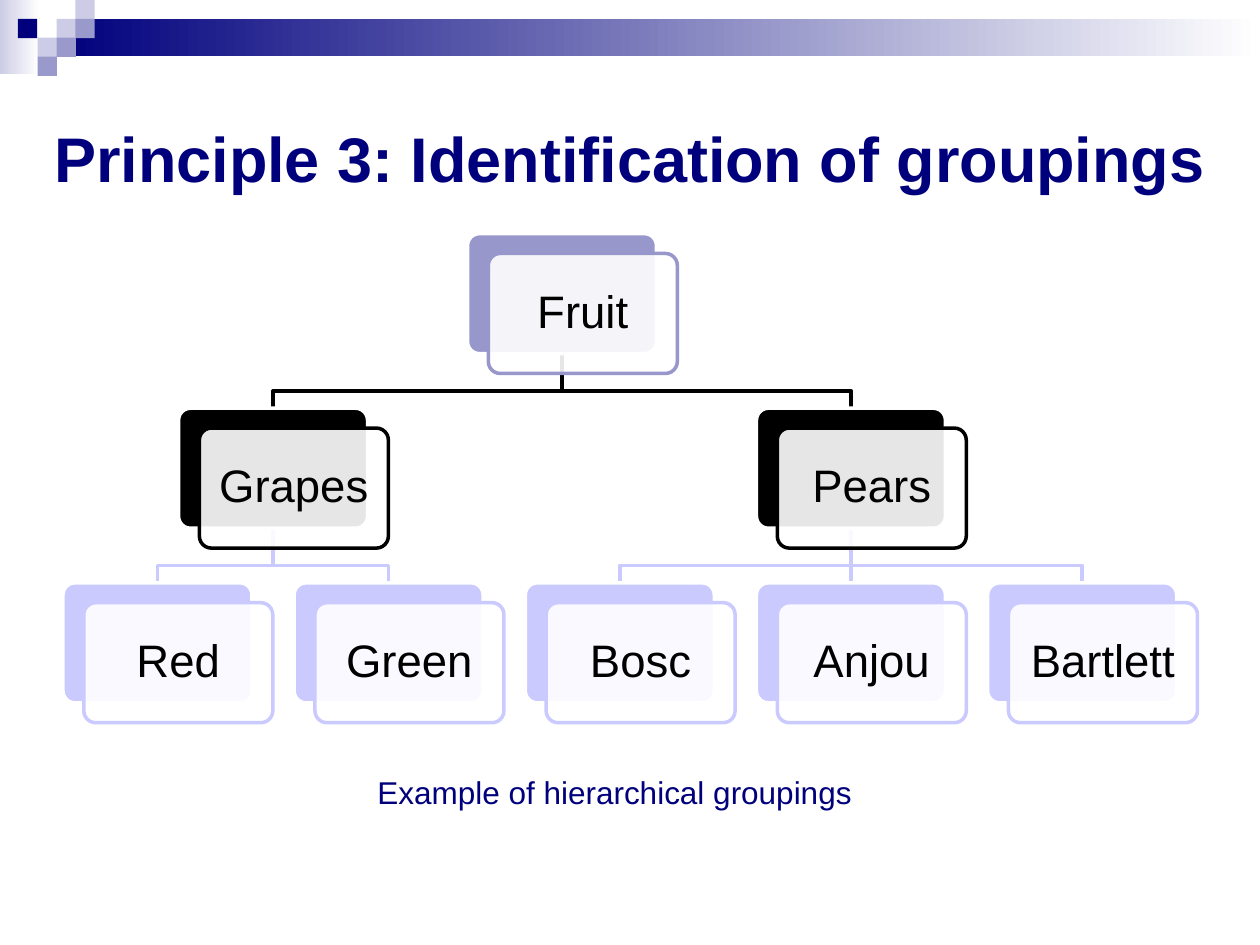
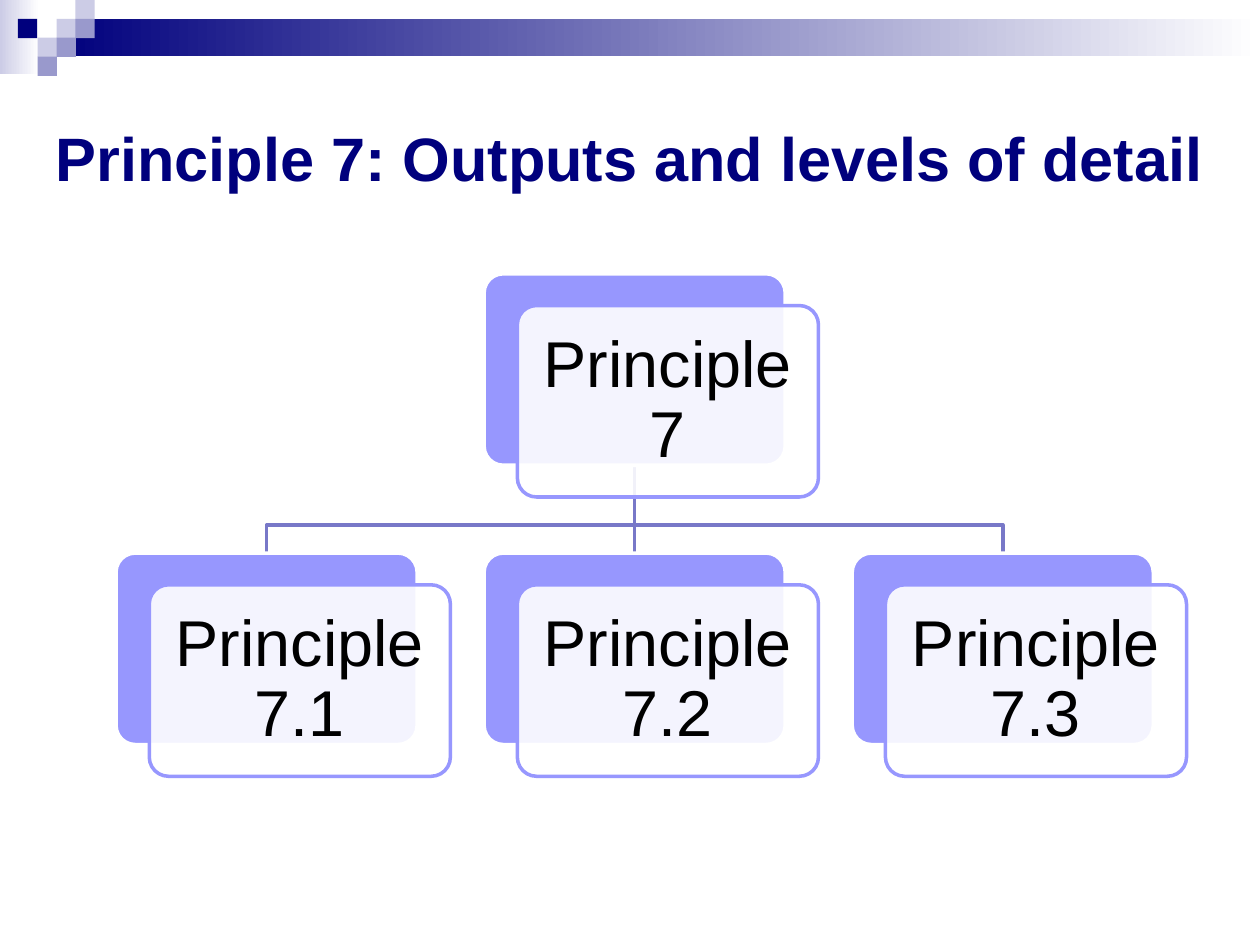
from dataclasses import dataclass
from lxml.etree import SubElement
from pptx import Presentation
from pptx.dml.color import RGBColor
from pptx.enum.shapes import MSO_CONNECTOR, MSO_SHAPE
from pptx.enum.text import MSO_ANCHOR, PP_ALIGN
from pptx.oxml.ns import qn
from pptx.util import Cm, Pt


@dataclass(frozen=True)
class Theme:
    font: str = "Arial"
    navy: str = "00007D"
    slate: str = "9999CC"
    mist: str = "CCCCE6"
    white: str = "FFFFFF"
    black: str = "000000"
    root: str = "9797CB"
    leaf: str = "CACAFF"
    violet: str = "9797FE"
    violet_link: str = "7878C8"
    caption_size: int = 18
    line_width: int = 2


theme = Theme()


def add_block(slide, preset, box, fill, outline=None):
    block = slide.shapes.add_shape(preset, *[Cm(length) for length in box])
    block.shadow.inherit = False
    if isinstance(fill, tuple):
        block.fill.gradient()
        block.fill.gradient_angle = 0
        for stop, color in zip(block.fill.gradient_stops, fill):
            stop.color.rgb = RGBColor.from_string(color)
    else:
        block.fill.solid()
        block.fill.fore_color.rgb = RGBColor.from_string(fill)
    if outline:
        block.line.color.rgb = RGBColor.from_string(outline)
        block.line.width = Pt(theme.line_width)
    else:
        block.line.fill.background()
    return block


def write(shape, text, size, color, insets, anchor=MSO_ANCHOR.MIDDLE, bold=False, spacing=1.0):
    frame = shape.text_frame
    frame.word_wrap = True
    frame.vertical_anchor = anchor
    frame.margin_left = frame.margin_right = Cm(insets[0])
    frame.margin_top = frame.margin_bottom = Cm(insets[1])
    paragraph = frame.paragraphs[0]
    paragraph.alignment = PP_ALIGN.CENTER
    paragraph.line_spacing = spacing
    run = paragraph.add_run()
    run.text = text
    run.font.name = theme.font
    run.font.size = Pt(size)
    run.font.bold = bold
    run.font.color.rgb = RGBColor.from_string(color)


tile = 0.38
banner = [
    ((0, 0, 0.79, 1.5), (theme.mist, theme.white)),
    ((1.14, tile, 24.26, 2 * tile), (theme.navy, theme.white)),
]
banner += [
    ((x, row * tile, tile + 0.01, tile + 0.01), color)
    for x, row, color in [
        (1.14, 1, theme.mist),
        (1.52, 0, theme.mist),
        (1.52, 1, theme.slate),
        (0.76, 2, theme.mist),
        (0.36, 1, theme.navy),
        (1.14, 2, theme.slate),
        (0.76, 3, theme.slate),
    ]
]

charts = [
    {
        "title": "Principle 3: Identification of groupings",
        "title_size": 36,
        "leaves": ["Red", "Green", "Bosc", "Anjou", "Bartlett"],
        "groups": [
            ("Grapes", 1, ["Red", "Green"]),
            ("Pears", 1, ["Bosc", "Anjou", "Bartlett"]),
            ("Fruit", 0, ["Grapes", "Pears"]),
        ],
        "row_colors": [theme.root, theme.black, theme.leaf],
        "link_colors": [theme.black, theme.leaf],
        "start": (1.27, 4.71),
        "pitch": (4.66, 3.52),
        "card": (3.81, 2.42),
        "offset": (0.42, 0.4),
        "label_size": 26,
        "inset": 0.28,
        "caption": "Example of hierarchical groupings",
    },
    {
        "title": "Principle 7: Outputs and levels of detail",
        "title_size": 35,
        "leaves": ["Principle 7.1", "Principle 7.2", "Principle 7.3"],
        "groups": [("Principle 7", 0, ["Principle 7.1", "Principle 7.2", "Principle 7.3"])],
        "row_colors": [theme.violet, theme.violet],
        "link_colors": [theme.violet_link],
        "start": (2.34, 5.52),
        "pitch": (7.42, 5.63),
        "card": (6.07, 3.86),
        "offset": (0.67, 0.64),
        "label_size": 37,
        "inset": 0.39,
        "caption": None,
    },
]

deck = Presentation()
deck.slide_width, deck.slide_height = Cm(25.4), Cm(19.05)

for chart in charts:
    slide = deck.slides.add_slide(deck.slide_layouts[6])
    for box, fill in banner:
        add_block(slide, MSO_SHAPE.RECTANGLE, box, fill)

    left, top = chart["start"]
    column_pitch, row_pitch = chart["pitch"]
    width, height = chart["card"]
    last_row = len(chart["row_colors"]) - 1
    places = {leaf: (column, last_row) for column, leaf in enumerate(chart["leaves"])}
    for parent, row, children in chart["groups"]:
        places[parent] = (sum(places[child][0] for child in children) / len(children), row)

    for parent, row, children in chart["groups"]:
        parent_x = Cm(left + places[parent][0] * column_pitch + width / 2)
        start_y = Cm(top + row * row_pitch + height)
        end_y = Cm(top + (row + 1) * row_pitch)
        bend_y = start_y + round((end_y - start_y) * 0.68)
        for child in children:
            child_x = Cm(left + places[child][0] * column_pitch + width / 2)
            if places[child][0] == places[parent][0]:
                link = slide.shapes.add_connector(
                    MSO_CONNECTOR.STRAIGHT, parent_x, start_y, child_x, end_y
                )
                SubElement(link._element.spPr, qn("a:effectLst"))
            else:
                outline = slide.shapes.build_freeform(parent_x, start_y)
                outline.add_line_segments(
                    [(parent_x, bend_y), (child_x, bend_y), (child_x, end_y)], close=False
                )
                link = outline.convert_to_shape()
                link.shadow.inherit = False
                link.fill.background()
            link.line.color.rgb = RGBColor.from_string(chart["link_colors"][row])
            link.line.width = Pt(theme.line_width)

    for label, (column, row) in places.items():
        x, y = left + column * column_pitch, top + row * row_pitch
        color = chart["row_colors"][row]
        back = add_block(
            slide, MSO_SHAPE.ROUNDED_RECTANGLE, (x, y, width, height), color, theme.white
        )
        front_box = (x + chart["offset"][0], y + chart["offset"][1], width, height)
        front = add_block(slide, MSO_SHAPE.ROUNDED_RECTANGLE, front_box, theme.white, color)
        back.adjustments[0] = front.adjustments[0] = 0.1
        front_color = front._element.spPr.find(qn("a:solidFill"))[0]
        SubElement(front_color, qn("a:alpha")).set("val", "90000")
        write(front, label, chart["label_size"], theme.black, (chart["inset"],) * 2, spacing=0.9)

    title = slide.shapes.add_textbox(Cm(0.42), Cm(1.27), Cm(24.56), Cm(3.81))
    write(title, chart["title"], chart["title_size"], theme.navy, (0.25, 0.13), bold=True)
    if chart["caption"]:
        caption = slide.shapes.add_textbox(Cm(6.14), Cm(15.45), Cm(12.5), Cm(1.02))
        write(
            caption, chart["caption"], theme.caption_size, theme.navy, (0.25, 0.13), MSO_ANCHOR.TOP
        )

deck.save("out.pptx")
